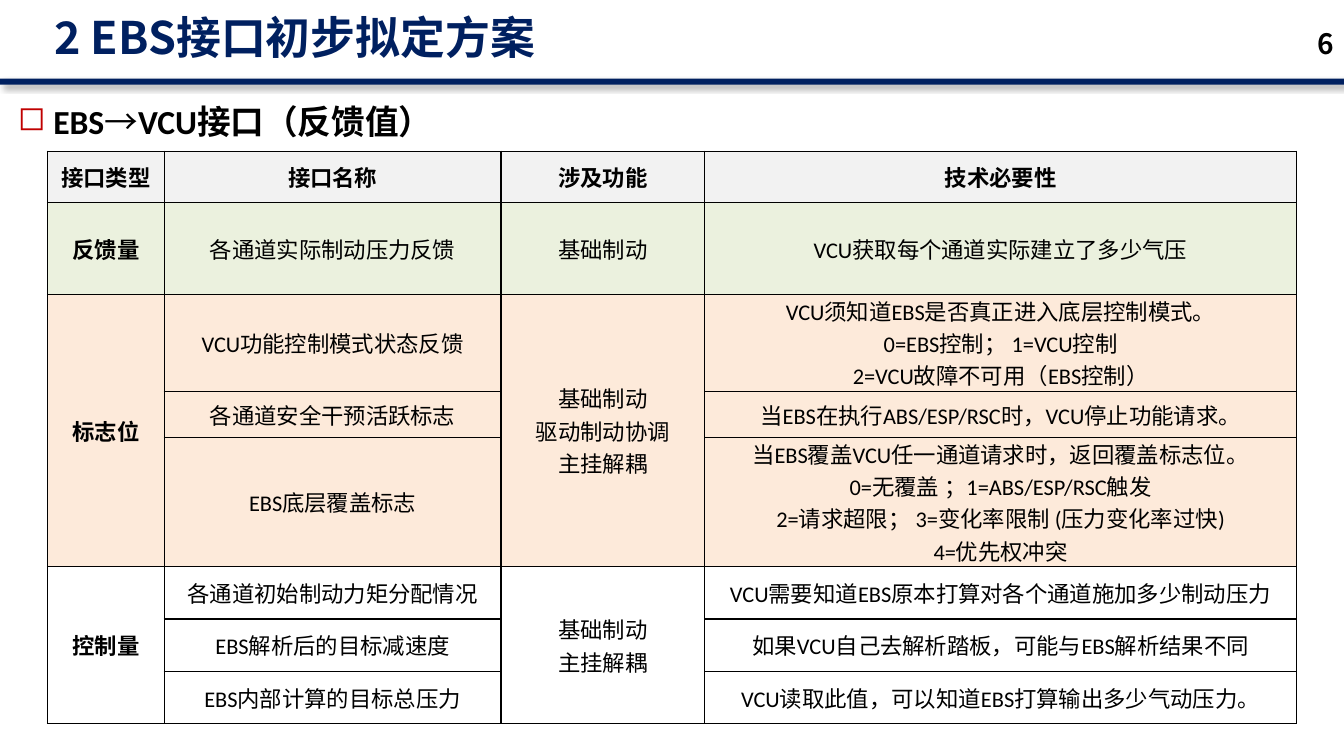
from copy import deepcopy

from lxml.etree import SubElement
from pptx import Presentation
from pptx.dml.color import RGBColor
from pptx.enum.shapes import MSO_SHAPE
from pptx.enum.text import MSO_ANCHOR, MSO_AUTO_SIZE, PP_ALIGN
from pptx.oxml import parse_xml
from pptx.oxml.ns import nsdecls, qn
from pptx.util import Pt

PX = 9144  # 100 px to the inch

NAVY = RGBColor(0x00, 0x20, 0x60)
BLACK = RGBColor(0x00, 0x00, 0x00)
RED = RGBColor(0xC0, 0x00, 0x00)
GRAY = RGBColor(0xF2, 0xF2, 0xF2)
GREEN = RGBColor(0xEB, 0xF1, 0xDE)
ORANGE = RGBColor(0xFD, 0xEA, 0xDA)

LATIN = "Calibri"
CJK = "Noto Sans CJK SC"

COLUMNS = [116, 334, 202, 587]
ROWS = [51, 91, 92, 46, 123, 52, 52, 52]
HEADER = ["接口类型", "接口名称", "涉及功能", "技术必要性"]

# type, functions, fill, [(interface name, technical need), ...]
GROUPS = [
    ("反馈量", "基础制动", GREEN, [
        ("各通道实际制动压力反馈", "VCU获取每个通道实际建立了多少气压"),
    ]),
    ("标志位", "基础制动\n驱动制动协调\n主挂解耦", ORANGE, [
        ("VCU功能控制模式状态反馈",
         "VCU须知道EBS是否真正进入底层控制模式。\n"
         "0=EBS控制； 1=VCU控制\n2=VCU故障不可用（EBS控制）"),
        ("各通道安全干预活跃标志",
         "当EBS在执行ABS/ESP/RSC时，VCU停止功能请求。"),
        ("EBS底层覆盖标志",
         "当EBS覆盖VCU任一通道请求时，返回覆盖标志位。\n"
         "0=无覆盖 ；1=ABS/ESP/RSC触发\n"
         "2=请求超限； 3=变化率限制 (压力变化率过快)\n4=优先权冲突"),
    ]),
    ("控制量", "基础制动\n主挂解耦", None, [
        ("各通道初始制动力矩分配情况",
         "VCU需要知道EBS原本打算对各个通道施加多少制动压力"),
        ("EBS解析后的目标减速度",
         "如果VCU自己去解析踏板，可能与EBS解析结果不同"),
        ("EBS内部计算的目标总压力",
         "VCU读取此值，可以知道EBS打算输出多少气动压力。"),
    ]),
]


def write(paragraph, text, size=16, font=LATIN, color=BLACK, bold=False,
          align=None, spacing=None):
    """Append text to the paragraph; each newline becomes a line break."""
    if align is not None:
        paragraph.alignment = align
    if spacing is not None:
        paragraph.line_spacing = spacing
    for index, line in enumerate(text.split("\n")):
        if index:
            paragraph.add_line_break()
        run = paragraph.add_run()
        run.text = line
        run.font.size = Pt(size)
        run.font.bold = bold
        run.font.name = font
        run.font.color.rgb = color
        properties = run.font._element
        SubElement(properties, qn("a:ea")).set("typeface", CJK)
    for line_break in paragraph._p.findall(qn("a:br")):
        if len(line_break) == 0:
            line_break.append(deepcopy(properties))


def add_text_box(slide, left, top, width, height, anchor=MSO_ANCHOR.TOP):
    """Add a wrapping text box and return its first paragraph."""
    box = slide.shapes.add_textbox(left * PX, top * PX, width * PX, height * PX)
    box.text_frame.word_wrap = True
    box.text_frame.auto_size = MSO_AUTO_SIZE.NONE
    box.text_frame.vertical_anchor = anchor
    return box.text_frame.paragraphs[0]


def add_title_bar(slide):
    bar = slide.shapes.add_shape(MSO_SHAPE.RECTANGLE, 0, 78 * PX, 1333 * PX, 6 * PX)
    bar.fill.solid()
    bar.fill.fore_color.rgb = NAVY
    bar.line.fill.background()
    bar._element.spPr.append(parse_xml(
        f'<a:effectLst {nsdecls("a")}><a:outerShdw blurRad="{Pt(4)}" dist="{Pt(3)}" '
        f'dir="2700000" algn="tl" rotWithShape="0"><a:srgbClr val="{BLACK}">'
        '<a:alpha val="40000"/></a:srgbClr></a:outerShdw></a:effectLst>'))


def add_square_bullet(paragraph, color, indent):
    properties = paragraph._p.get_or_add_pPr()
    properties.set("marL", str(indent * PX))
    properties.set("indent", str(-indent * PX))
    bullet_color = SubElement(properties, qn("a:buClr"))
    SubElement(bullet_color, qn("a:srgbClr")).set("val", str(color))
    SubElement(properties, qn("a:buChar")).set("char", "◻")


def format_cell(cell, fill):
    """Set margins, anchor, black borders and fill."""
    cell.margin_left = cell.margin_right = cell.margin_top = cell.margin_bottom = 0
    cell.vertical_anchor = MSO_ANCHOR.MIDDLE
    properties = cell._tc.get_or_add_tcPr()
    for side in ("lnL", "lnR", "lnT", "lnB"):
        properties.append(parse_xml(
            f'<a:{side} {nsdecls("a")} w="{Pt(1)}"><a:solidFill>'
            f'<a:srgbClr val="{BLACK}"/></a:solidFill></a:{side}>'))
    if fill is None:
        cell.fill.background()
    else:
        cell.fill.solid()
        cell.fill.fore_color.rgb = fill


def fill_row(table, row, texts, fill, bold_columns):
    """Format one row and write its texts; None leaves a cell empty."""
    for column, text in enumerate(texts):
        cell = table.cell(row, column)
        format_cell(cell, fill)
        if text is not None:
            write(cell.text_frame.paragraphs[0], text,
                  font=CJK if column == 2 else LATIN,
                  bold=column in bold_columns, align=PP_ALIGN.CENTER)


def add_interface_table(slide):
    table = slide.shapes.add_table(
        len(ROWS), len(COLUMNS), 47 * PX, 150 * PX,
        sum(COLUMNS) * PX, sum(ROWS) * PX).table
    table.first_row = table.horz_banding = False
    for column, width in zip(table.columns, COLUMNS):
        column.width = width * PX
    for row, height in zip(table.rows, ROWS):
        row.height = height * PX

    fill_row(table, 0, HEADER, GRAY, range(len(HEADER)))
    first = 1
    for kind, functions, fill, interfaces in GROUPS:
        for offset, (name, need) in enumerate(interfaces):
            shared = (None, None) if offset else (kind, functions)
            fill_row(table, first + offset, [shared[0], name, shared[1], need],
                     fill, [0])
        last = first + len(interfaces) - 1
        if last > first:
            for column in (0, 2):
                table.cell(first, column).merge(table.cell(last, column))
        first = last + 1


def main():
    presentation = Presentation()
    presentation.slide_width = 1333 * PX
    presentation.slide_height = 750 * PX
    slide = presentation.slides.add_slide(presentation.slide_layouts[6])

    add_title_bar(slide)
    number = add_text_box(slide, 1256, 23, 77, 40, MSO_ANCHOR.MIDDLE)
    write(number, "6", size=20, font=CJK, bold=True, align=PP_ALIGN.RIGHT)
    title = add_text_box(slide, 44, 10, 1047, 59, MSO_ANCHOR.MIDDLE)
    write(title, "2 EBS接口初步拟定方案", size=32, font=CJK, color=NAVY,
          bold=True, spacing=0.9)

    heading = add_text_box(slide, 8, 83, 539, 58)
    write(heading, "EBS", size=24, bold=True, spacing=1.3)
    write(heading, "→", size=24, font=CJK)
    write(heading, "VCU接口（反馈值）", size=24, bold=True)
    add_square_bullet(heading, RED, 35)

    add_interface_table(slide)
    presentation.save("out.pptx")


if __name__ == "__main__":
    main()
